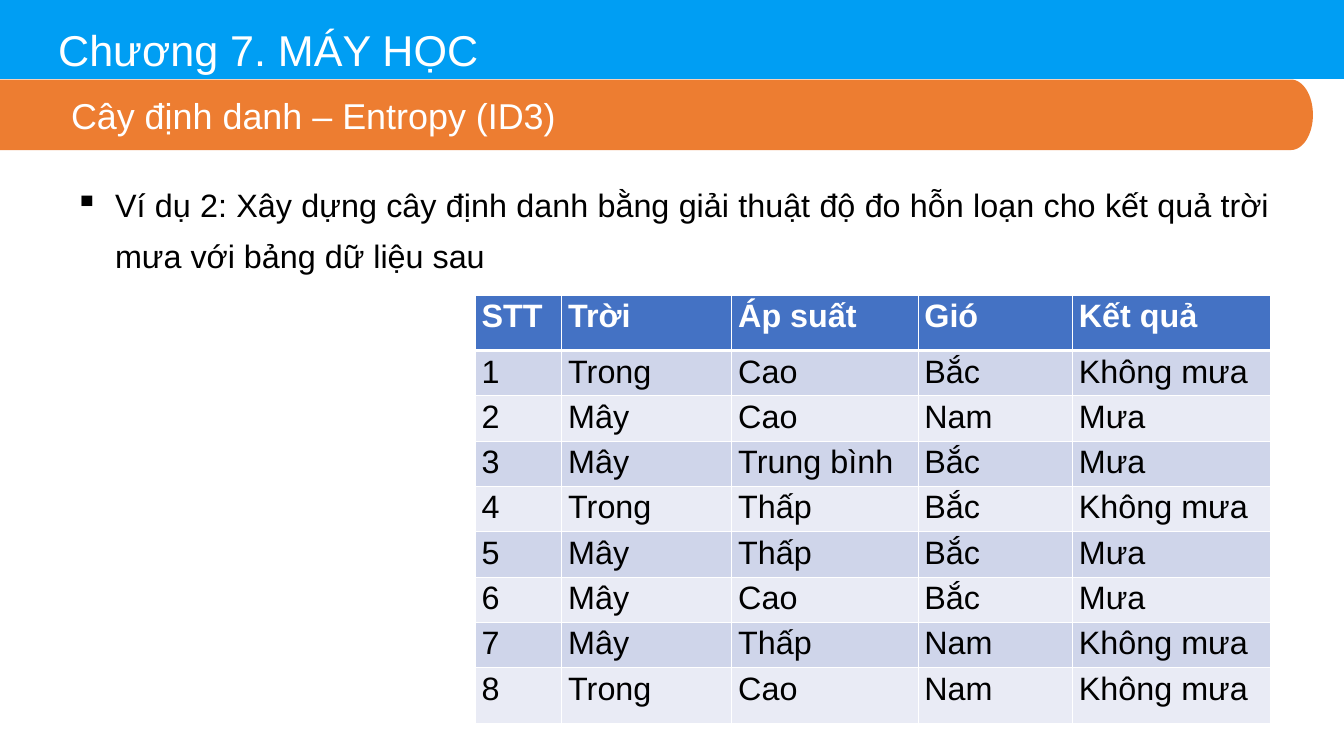
from math import cos, pi, sin
from lxml.etree import SubElement
from pptx import Presentation
from pptx.dml.color import RGBColor
from pptx.enum.text import MSO_ANCHOR, PP_ALIGN
from pptx.oxml.ns import qn
from pptx.util import Inches, Pt


def color(code):
    return RGBColor.from_string(code)


def write(frame, text, size=36, ink="000000", bold=False, align=PP_ALIGN.LEFT,
          anchor=MSO_ANCHOR.TOP, space=1.0, left=0, hang=0, bullet=None):
    """Put one formatted paragraph in the frame; left and hang are inches."""
    frame.word_wrap = True
    frame.vertical_anchor = anchor
    para = frame.paragraphs[0]
    para.alignment = align
    para.line_spacing = space
    props = para._p.get_or_add_pPr()
    props.set("marL", str(Inches(left)))
    props.set("indent", str(Inches(-hang)))
    if bullet:
        SubElement(props, qn("a:buChar")).set("char", bullet)
    run = para.add_run()
    run.text = text
    run.font.name = "Arial"
    run.font.size = Pt(size)
    run.font.bold = bold
    run.font.color.rgb = color(ink)


WIDE, HIGH = 20.79, 11.69
deck = Presentation()
deck.slide_width, deck.slide_height = Inches(WIDE), Inches(HIGH)
slide = deck.slides.add_slide(deck.slide_layouts[6])
shapes = slide.shapes

# Top bar and the banner with its rounded right end
top, right, high, bend = 1.23, 20.31, 1.09, 0.34
steps = 32
arc = [(right - bend + bend * cos(a), top + high / 2 + high / 2 * sin(a))
       for a in (pi * (i / steps - 0.5) for i in range(steps + 1))]
bar = [(0, 0), (WIDE, 0), (WIDE, 1.22), (0, 1.22)]
banner = [(0, top), *arc, (0, top + high)]
for points, fill in ((bar, "009EF3"), (banner, "ED7D31")):
    spots = [(Inches(x), Inches(y)) for x, y in points]
    pen = shapes.build_freeform(*spots[0])
    pen.add_line_segments(spots[1:], close=True)
    shape = pen.convert_to_shape()
    shape.shadow.inherit = False
    shape.fill.solid()
    shape.fill.fore_color.rgb = color(fill)
    shape.line.fill.background()
write(shape.text_frame, "Cây định danh – Entropy (ID3)", size=40, ink="FFFFFF",
      align=PP_ALIGN.JUSTIFY, anchor=MSO_ANCHOR.MIDDLE, left=1)

# Title and task
task = ("Ví dụ 2: Xây dựng cây định danh bằng giải thuật độ đo hỗn loạn "
        "cho kết quả trời mưa với bảng dữ liệu sau")
for place, text, style in (
    ((0.89, 0.35, 18.75, 0.82), "Chương 7. MÁY HỌC",
     dict(size=48, ink="FFFFFF", left=0.01)),
    ((1.14, 2.68, 18.5, 1.52), task,
     dict(align=PP_ALIGN.JUSTIFY, space=1.3, left=0.64, hang=0.62, bullet="▪")),
):
    frame = shapes.add_textbox(*map(Inches, place)).text_frame
    frame.margin_left = frame.margin_right = frame.margin_bottom = 0
    frame.margin_top = Inches(0.01)
    write(frame, text, **style)

# Weather table
data = [
    ("STT", "Trời", "Áp suất", "Gió", "Kết quả"),
    ("1", "Trong", "Cao", "Bắc", "Không mưa"),
    ("2", "Mây", "Cao", "Nam", "Mưa"),
    ("3", "Mây", "Trung bình", "Bắc", "Mưa"),
    ("4", "Trong", "Thấp", "Bắc", "Không mưa"),
    ("5", "Mây", "Thấp", "Bắc", "Mưa"),
    ("6", "Mây", "Cao", "Bắc", "Mưa"),
    ("7", "Mây", "Thấp", "Nam", "Không mưa"),
    ("8", "Trong", "Cao", "Nam", "Không mưa"),
]
widths = [1.34, 2.63, 2.88, 2.39, 3.07]
heights = [0.86] + [0.7] * 7 + [0.86]
table = shapes.add_table(len(data), len(widths), Inches(7.35), Inches(4.56),
                         Inches(sum(widths)), Inches(sum(heights))).table
for col, width in zip(table.columns, widths):
    col.width = Inches(width)
for r, (row, height) in enumerate(zip(data, heights)):
    table.rows[r].height = Inches(height)
    head = r == 0
    fill = "4472C4" if head else ("E9EBF5", "CFD5EA")[r % 2]
    for c, text in enumerate(row):
        cell = table.cell(r, c)
        write(cell.text_frame, text, ink="FFFFFF" if head else "000000", bold=head)
        props = cell._tc.get_or_add_tcPr()
        for side in "LRTB":
            thick = (side, r) in (("B", 0), ("T", 1))
            line = SubElement(props, qn("a:ln" + side), w=str(Pt(3 if thick else 1)))
            paint = SubElement(line, qn("a:solidFill"))
            SubElement(paint, qn("a:srgbClr"), val="FFFFFF")
        cell.fill.solid()
        cell.fill.fore_color.rgb = color(fill)

deck.save("out.pptx")
